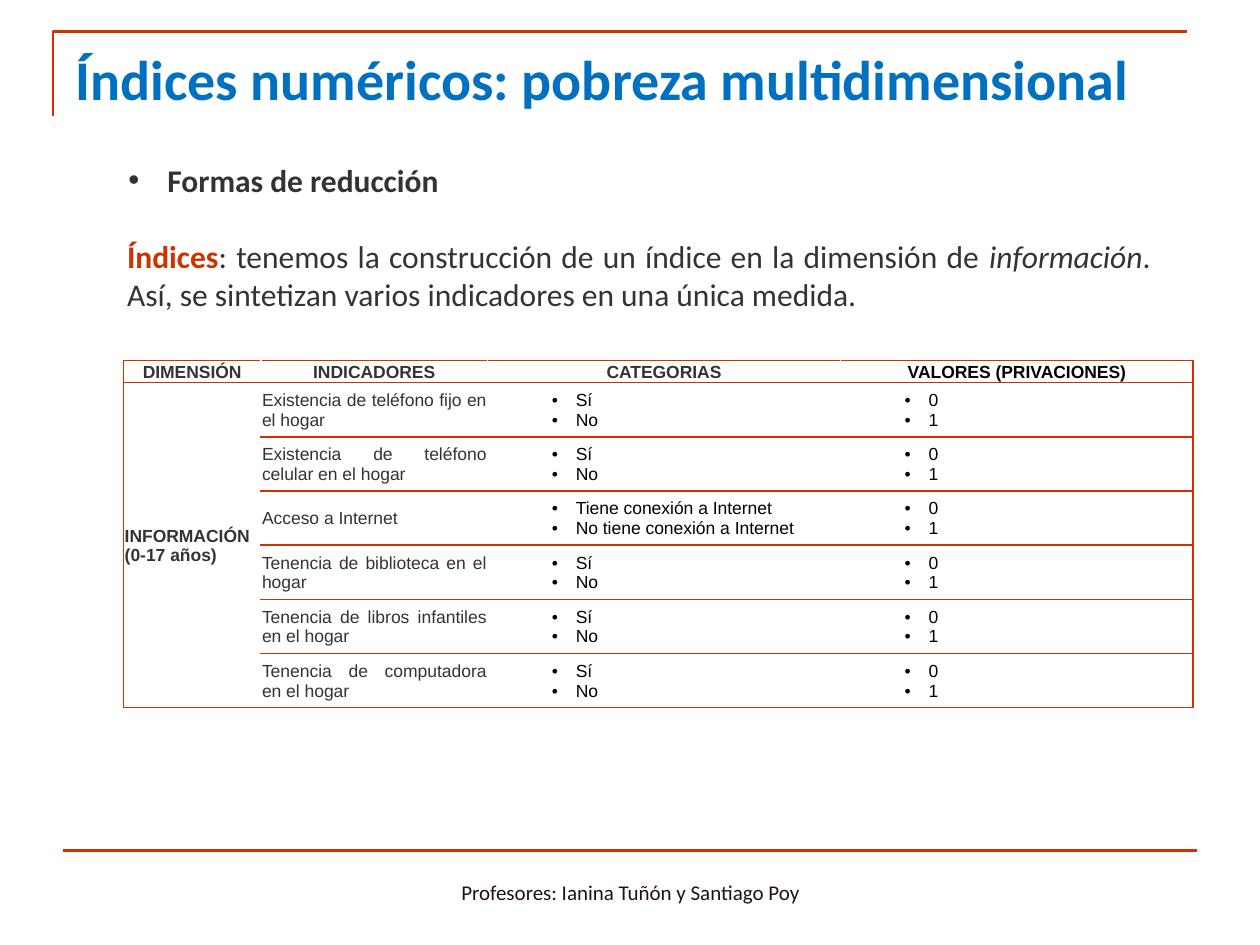
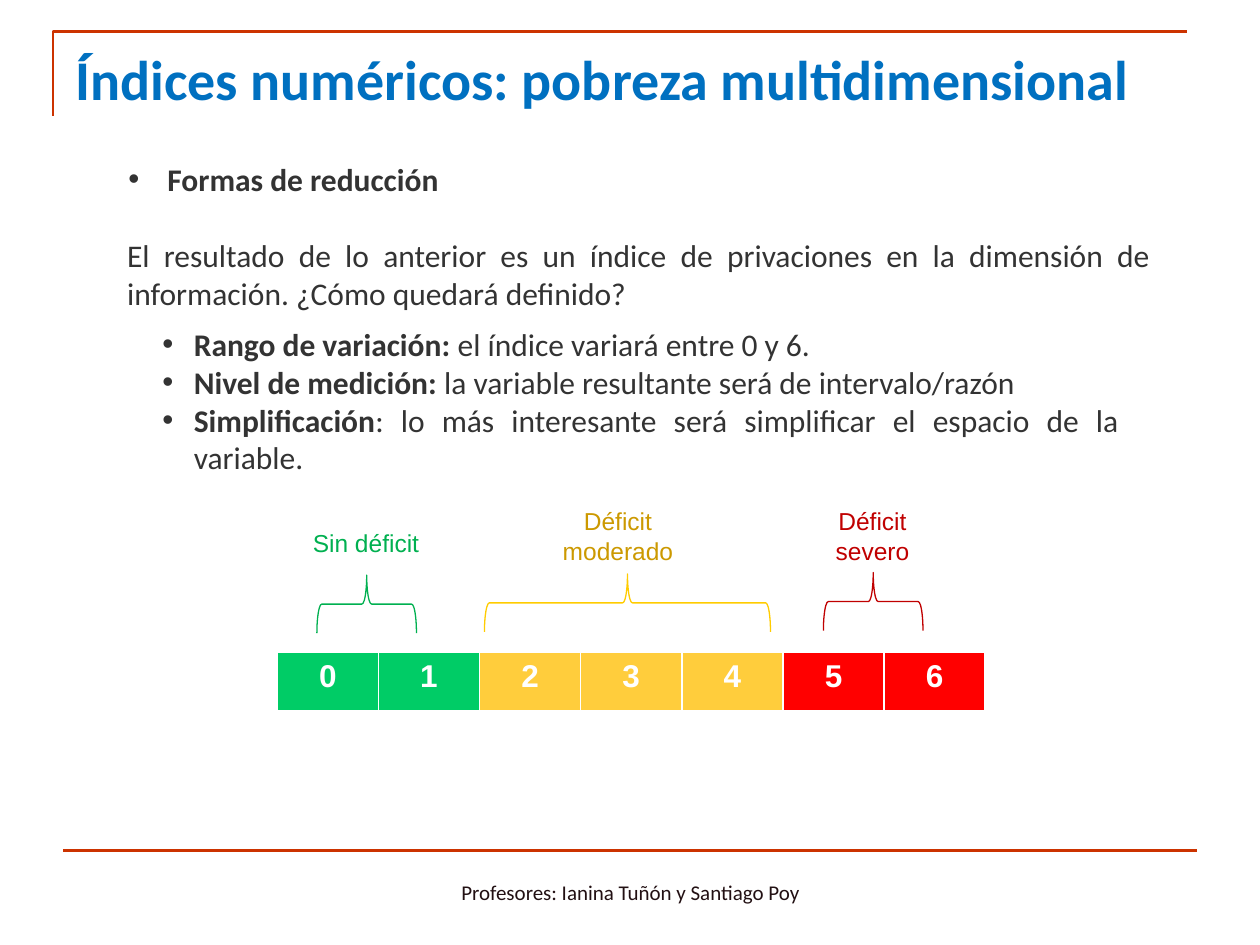
import pptx
import pptx.dml.color
import pptx.enum.shapes
import pptx.enum.text
import pptx.oxml
import pptx.oxml.ns
import pptx.util
from lxml import etree

Inches = pptx.util.Inches
Pt = pptx.util.Pt
ALIGN = pptx.enum.text.PP_ALIGN
MIDDLE = pptx.enum.text.MSO_ANCHOR.MIDDLE
SHAPES = pptx.enum.shapes.MSO_SHAPE
qn = pptx.oxml.ns.qn

ACCENT = "CC3300"
DARK = "333333"
TITLE = {"name": "Calibri", "size": Pt(32), "bold": True, "color": "0070C0"}
BODY = {"name": "Calibri", "size": Pt(18), "bold": False, "color": DARK}
FOOTER = {"name": "Calibri", "size": Pt(12), "color": "221013"}
LABEL = {"name": "Arial", "size": Pt(14)}
CELL = {"name": "Arial", "size": Pt(10), "bold": False, "color": DARK}
SCORE = {"name": "Arial", "size": Pt(18), "bold": True, "color": "FFFFFF"}


def color(value):
    return pptx.dml.color.RGBColor.from_string(value)


def write(text_frame, runs, style, alignment, margin=0, hanging=0, before=0):
    paragraph = text_frame.paragraphs[0]
    if paragraph.runs:
        paragraph = text_frame.add_paragraph()
    properties = paragraph._p.get_or_add_pPr()
    properties.set("marL", str(Inches(margin)))
    properties.set("indent", str(-Inches(hanging)))
    if hanging:
        etree.SubElement(properties, qn("a:buFont")).set("typeface", "Arial")
        etree.SubElement(properties, qn("a:buChar")).set("char", "•")
    paragraph.alignment = alignment
    paragraph.space_before = Pt(before)
    for text, changes in runs:
        run = paragraph.add_run()
        run.text = text
        for name, value in {**style, **changes}.items():
            if name == "color":
                run.font.color.rgb = color(value)
            else:
                setattr(run.font, name, value)


presentation = pptx.Presentation()
presentation.slide_width = Inches(10)
presentation.slide_height = Inches(7.5)

introductions = [
    (1.23, [
        ("Índices", {"bold": True, "color": ACCENT}),
        (": tenemos la construcción de un índice en la dimensión de ", {}),
        ("información", {"italic": True}),
        (". Así, se sintetizan varios indicadores en una única medida.", {}),
    ]),
    (1.22, [
        ("El resultado de lo anterior es un índice de privaciones en la dimensión "
         "de información. ¿Cómo quedará definido?", {}),
    ]),
]
slides = []
for top, introduction in introductions:
    slide = presentation.slides.add_slide(presentation.slide_layouts[6])
    slides.append(slide)

    builder = slide.shapes.build_freeform(Inches(0.42), Inches(0.92))
    builder.add_line_segments(
        [(Inches(0.42), Inches(0.25)), (Inches(9.42), Inches(0.25))], close=False)
    corner = builder.convert_to_shape()
    corner.fill.background()
    corner.shadow.inherit = False
    rule = slide.shapes.add_connector(
        pptx.enum.shapes.MSO_CONNECTOR.STRAIGHT,
        Inches(0.5), Inches(6.75), Inches(9.5), Inches(6.75))
    etree.SubElement(rule._element.spPr, qn("a:effectLst"))
    for shape in (corner, rule):
        shape.line.color.rgb = color(ACCENT)
        shape.line.width = Pt(1.5)

    title = slide.shapes.add_textbox(Inches(0.5), Inches(0.3), Inches(9.22), Inches(0.61))
    body = slide.shapes.add_textbox(Inches(0.72), Inches(top), Inches(8.51), Inches(1.31))
    footer = slide.shapes.add_textbox(Inches(3.42), Inches(6.83), Inches(3.17), Inches(0.5))
    for box in (title, body, footer):
        box.text_frame.word_wrap = True
    footer.text_frame.vertical_anchor = MIDDLE
    write(title.text_frame, [("Índices numéricos: pobreza multidimensional", {})],
          TITLE, ALIGN.LEFT)
    write(body.text_frame, [("Formas de reducción", {"bold": True})],
          BODY, ALIGN.JUSTIFY, 0.51, 0.31)
    write(body.text_frame, introduction, BODY, ALIGN.JUSTIFY, 0.19, before=22)
    write(footer.text_frame, [("Profesores: Ianina Tuñón y Santiago Poy", {})],
          FOOTER, ALIGN.CENTER)

indicator_slide, result_slide = slides

headers = ["DIMENSIÓN", "INDICADORES", "CATEGORIAS", "VALORES (PRIVACIONES)"]
yes_no = ["Sí", "No"]
indicators = [
    ("Existencia de teléfono fijo en el hogar", yes_no),
    ("Existencia de teléfono celular en el hogar", yes_no),
    ("Acceso a Internet", ["Tiene conexión a Internet", "No tiene conexión a Internet"]),
    ("Tenencia de biblioteca en el hogar", yes_no),
    ("Tenencia de libros infantiles en el hogar", yes_no),
    ("Tenencia de computadora en el hogar", yes_no),
]
table = indicator_slide.shapes.add_table(
    len(indicators) + 1, len(headers),
    Inches(0.98), Inches(2.86), Inches(8.47), Inches(2.77)).table
table.first_row = False
table.horz_banding = False
for column, width in zip(table.columns, [1.09, 1.8, 2.8, 2.8]):
    column.width = Inches(width)
for row_index, row in enumerate(table.rows):
    row.height = Inches(0.43 if row_index else 0.16)
    for column_index, cell in enumerate(row.cells):
        edges = "TB"
        if column_index == 0:
            edges = "LTB" if row_index < 2 else "L"
        elif column_index == 3:
            edges = "RTB"
        for edge in edges:
            border = etree.SubElement(
                cell._tc.get_or_add_tcPr(), qn("a:ln" + edge), w=str(Pt(1)))
            fill = etree.SubElement(border, qn("a:solidFill"))
            etree.SubElement(fill, qn("a:srgbClr")).set("val", ACCENT)
        cell.fill.solid()
        cell.fill.fore_color.rgb = color("FFFFFF")
        cell.vertical_anchor = MIDDLE
        for side, margin in {"left": 0.01, "top": 0.01, "right": 0.01, "bottom": 0}.items():
            setattr(cell, "margin_" + side, Inches(margin))

for column_index, header in enumerate(headers):
    shade = "000000" if column_index == 3 else DARK
    write(table.cell(0, column_index).text_frame,
          [(header, {"bold": True, "color": shade})], CELL, ALIGN.CENTER)
table.cell(1, 0).merge(table.cell(len(indicators), 0))
write(table.cell(1, 0).text_frame, [("INFORMACIÓN (0-17 años)", {"bold": True})],
      CELL, ALIGN.LEFT)
for row_index, (indicator, categories) in enumerate(indicators, 1):
    write(table.cell(row_index, 1).text_frame, [(indicator, {})], CELL, ALIGN.JUSTIFY)
    for column_index, options in ((2, categories), (3, ["0", "1"])):
        for option in options:
            write(table.cell(row_index, column_index).text_frame,
                  [(option, {"color": "000000"})], CELL, ALIGN.JUSTIFY, 0.69, 0.19)

properties_box = result_slide.shapes.add_textbox(
    Inches(0.5), Inches(2.53), Inches(8.48), Inches(1.31))
properties_box.text_frame.word_wrap = True
for heading, explanation in [
    ("Rango de variación: ", "el índice variará entre 0 y 6."),
    ("Nivel de medición:", " la variable resultante será de intervalo/razón"),
    ("Simplificación", ": lo más interesante será simplificar el espacio de la variable."),
]:
    write(properties_box.text_frame, [(heading, {"bold": True}), (explanation, {})],
          BODY, ALIGN.JUSTIFY, 0.94, 0.25)

for text, left, top, height, text_color, brace_left, brace_top, span, brace_color in [
    ("Sin déficit", 2.34, 4.14, 0.34, "00B050", 2.68, 4.4, 0.79, "00B050"),
    ("Déficit moderado", 4.34, 3.97, 0.57, "CC9900", 4.75, 3.65, 2.27, "FFCC00"),
    ("Déficit severo", 6.36, 3.97, 0.57, "C00000", 6.7, 4.38, 0.79, "C00000"),
]:
    label = result_slide.shapes.add_textbox(
        Inches(left), Inches(top), Inches(1.13), Inches(height))
    label.text_frame.word_wrap = True
    write(label.text_frame, [(text, {"color": text_color})], LABEL, ALIGN.CENTER)
    brace = result_slide.shapes.add_shape(
        SHAPES.LEFT_BRACE, Inches(brace_left), Inches(brace_top), Inches(0.46), Inches(span))
    brace.rotation = 90
    brace.shadow.inherit = False
    brace.fill.background()
    brace.line.color.rgb = color(brace_color)
    brace.line.width = Pt(0.75)

score_colors = ["00CC66"] * 2 + ["FFCD3C"] * 3 + ["FF0000"] * 2
scale = result_slide.shapes.add_table(
    1, len(score_colors), Inches(2.2), Inches(5.18), Inches(5.62), Inches(0.46)).table
for score, score_color in enumerate(score_colors):
    cell = scale.cell(0, score)
    cell.fill.solid()
    cell.fill.fore_color.rgb = color(score_color)
    write(cell.text_frame, [(str(score), {})], SCORE, ALIGN.CENTER)

presentation.save("out.pptx")
